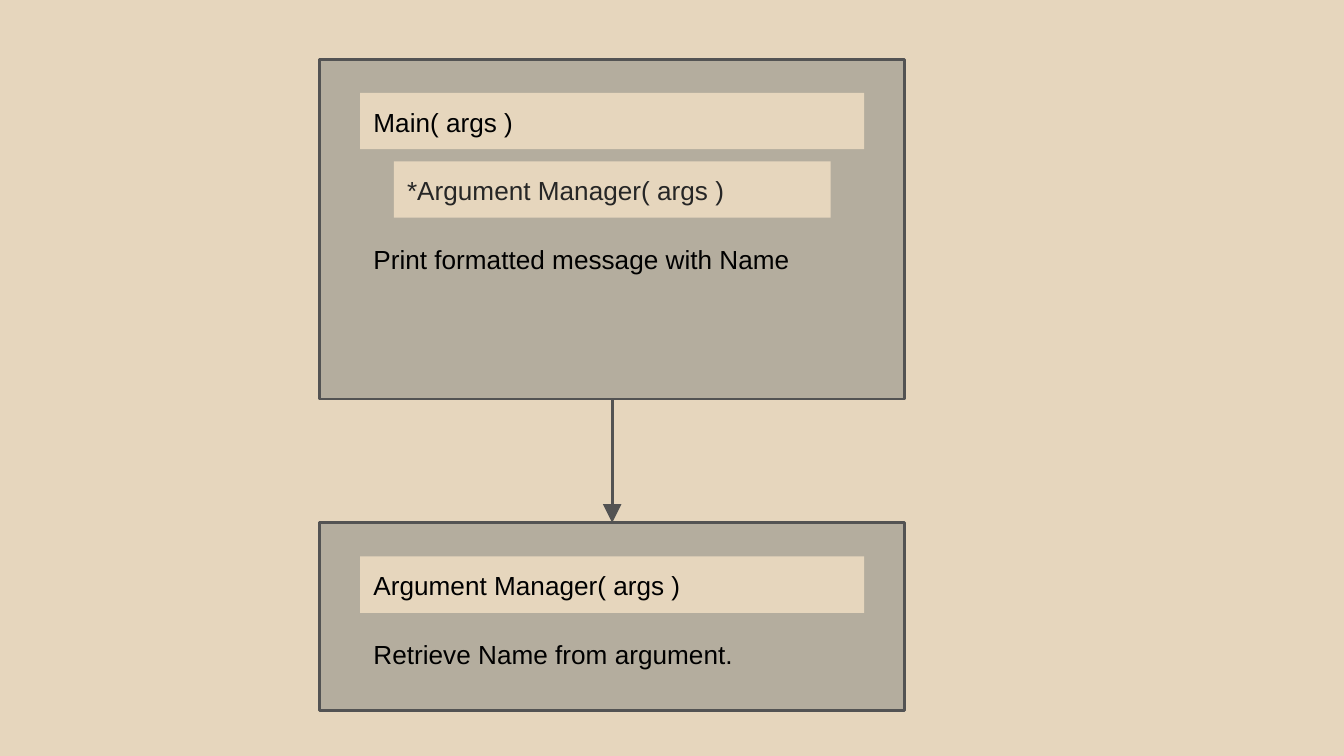
from typing import NamedTuple, Optional

from pptx import Presentation
from pptx.dml.color import RGBColor
from pptx.enum.shapes import MSO_CONNECTOR, MSO_SHAPE
from pptx.enum.text import MSO_ANCHOR, PP_ALIGN
from pptx.oxml.ns import qn
from pptx.util import Inches, Pt
from lxml.etree import SubElement

SAND = RGBColor(0xE6, 0xD6, 0xBD)
STONE = RGBColor(0xB4, 0xAD, 0x9E)
GRAY = RGBColor(0x53, 0x53, 0x53)
BLACK = RGBColor(0x00, 0x00, 0x00)
CHARCOAL = RGBColor(0x26, 0x26, 0x26)

PANEL_LEFT, PANEL_WIDTH = 2.38, 4.35
ROW_INSET, ROW_TOP = 0.3, 0.25
ROW_HEIGHT, ROW_PITCH = 0.42, 0.51
CALL_INDENT = 0.25
TEXT_FORMAT = {
    "word_wrap": True,
    "vertical_anchor": MSO_ANCHOR.TOP,
    "margin_left": Inches(0.1),
    "margin_right": Inches(0.1),
    "margin_top": Inches(0.1),
    "margin_bottom": Inches(0.1),
}


class Row(NamedTuple):
    text: str
    fill: Optional[RGBColor] = None
    color: RGBColor = BLACK
    indent: float = 0


class Panel(NamedTuple):
    top: float
    height: float
    rows: list[Row]


PANELS = [
    Panel(0.44, 2.53, [
        Row("Main( args )", SAND),
        Row("*Argument Manager( args )", SAND, CHARCOAL, CALL_INDENT),
        Row("Print formatted message with Name"),
    ]),
    Panel(3.89, 1.4, [
        Row("Argument Manager( args )", SAND),
        Row("Retrieve Name from argument."),
    ]),
]


def add_rect(s, left: float, top: float, width: float, height: float, fill: RGBColor):
    sp = s.shapes.add_shape(MSO_SHAPE.RECTANGLE, Inches(left), Inches(top),
                            Inches(width), Inches(height))
    sp.shadow.inherit = False
    sp.fill.solid()
    sp.fill.fore_color.rgb = fill
    sp.line.fill.background()
    return sp


def add_row(s, row: Row, top: float) -> None:
    """Draw a filled bar, or a plain text box when the row has no fill."""
    inset = ROW_INSET + row.indent
    box = (PANEL_LEFT + inset, top, PANEL_WIDTH - 2 * inset, ROW_HEIGHT)
    if row.fill is None:
        sp = s.shapes.add_textbox(*map(Inches, box))
    else:
        sp = add_rect(s, *box, row.fill)
    tf = sp.text_frame
    for name, value in TEXT_FORMAT.items():
        setattr(tf, name, value)
    p = tf.paragraphs[0]
    p.alignment = PP_ALIGN.LEFT
    r = p.add_run()
    r.text = row.text
    r.font.name = "Arial"
    r.font.size = Pt(14)
    r.font.color.rgb = row.color


def add_panel(s, panel: Panel):
    sp = add_rect(s, PANEL_LEFT, panel.top, PANEL_WIDTH, panel.height, STONE)
    sp.line.color.rgb = GRAY
    sp.line.width = Pt(1.5)
    for i, row in enumerate(panel.rows):
        add_row(s, row, panel.top + ROW_TOP + i * ROW_PITCH)
    return sp


def add_arrow(s, upper, lower) -> None:
    """Join the bottom of one panel to the top of the next."""
    line = s.shapes.add_connector(MSO_CONNECTOR.STRAIGHT, 0, 0, 0, 0)
    line.begin_connect(upper, 2)
    line.end_connect(lower, 0)
    line.line.color.rgb = GRAY
    line.line.width = Pt(1.5)
    ln = line._element.spPr.find(qn("a:ln"))
    SubElement(ln, qn("a:tailEnd"), type="triangle", w="lg", len="lg")
    SubElement(line._element.spPr, qn("a:effectLst"))


def main() -> None:
    prs = Presentation()
    prs.slide_width = Inches(10)
    prs.slide_height = prs.slide_width * 9 // 16
    s = prs.slides.add_slide(prs.slide_layouts[6])
    s.background.fill.solid()
    s.background.fill.fore_color.rgb = SAND
    caller, callee = [add_panel(s, panel) for panel in PANELS]
    add_arrow(s, caller, callee)
    prs.save("out.pptx")


if __name__ == "__main__":
    main()
